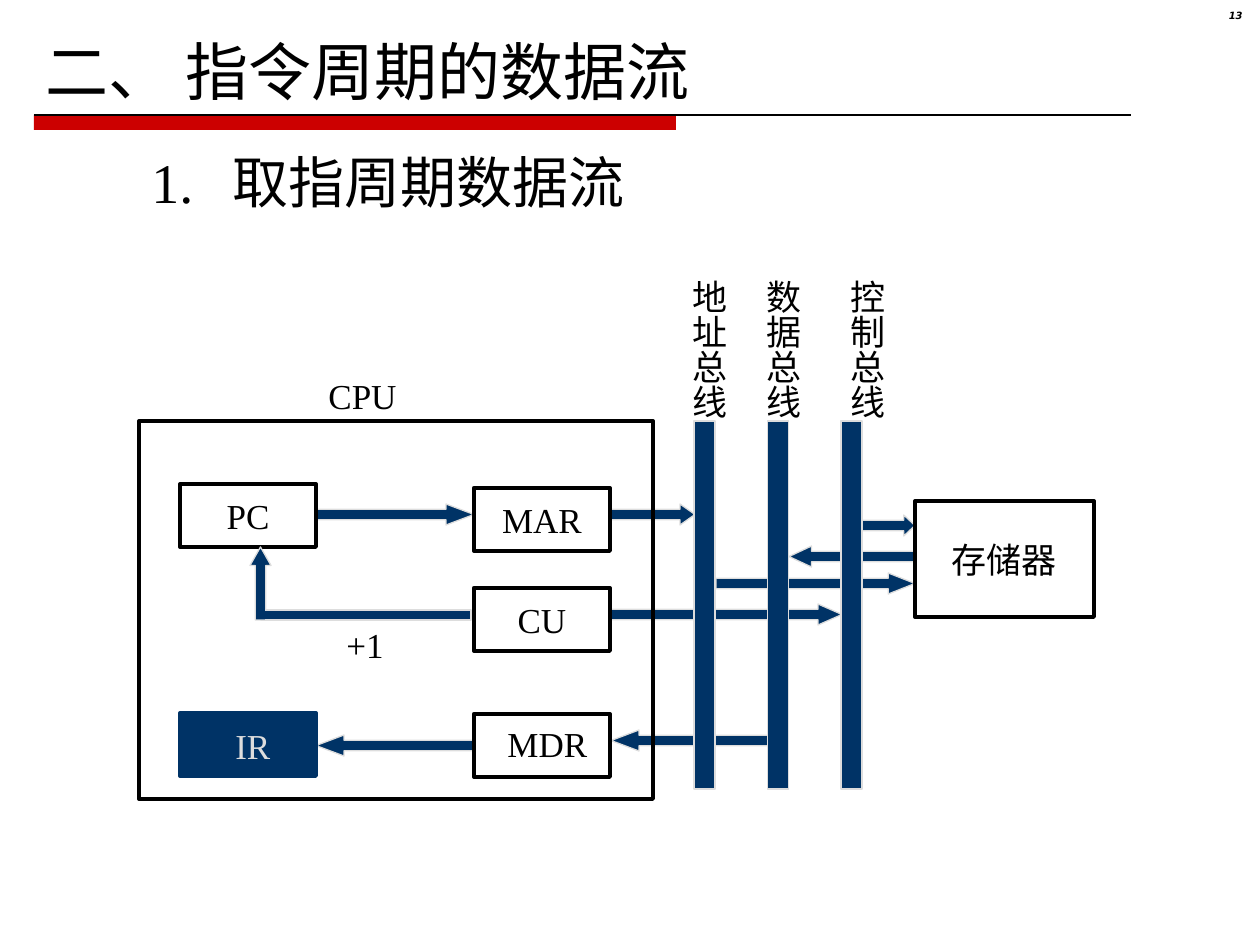
from lxml import etree
from pptx import Presentation
from pptx.dml.color import RGBColor
from pptx.enum.shapes import MSO_CONNECTOR, MSO_SHAPE
from pptx.enum.text import MSO_ANCHOR, PP_ALIGN
from pptx.oxml.ns import qn
from pptx.util import Pt

RECT, RIGHT, UP = MSO_SHAPE.RECTANGLE, MSO_SHAPE.RIGHT_ARROW, MSO_SHAPE.UP_ARROW
MID, TOP = MSO_ANCHOR.MIDDLE, MSO_ANCHOR.TOP
LEFT, CENTER, END = PP_ALIGN.LEFT, PP_ALIGN.CENTER, PP_ALIGN.RIGHT


class Theme:
    ink, navy, pale, red = "000000", "003366", "DDDDDD", "CC0000"
    face, num_face = "Times New Roman", "DejaVu Sans"
    title, head, body, num = 36, 32, 20, 5.7
    thin, thick = 0.75, 2.25


PX = 914400 / 126
THICK = 21  # arrows and buses
BOX = (136, 63)

TITLE = "二、 指令周期的数据流"
HEAD = "1.\t取指周期数据流"
HEAD_TAB = 81
PAGE = "13"

# left, top, length, head length / thickness, turned to the left
ARROWS = [
    (316, 735, 158, 1.33, True),    # MDR to IR
    (316, 504, 158, 1.33, False),   # PC to MAR
    (611, 504, 84, 0.71, False),    # MAR to address bus
    (611, 730, 158, 1.33, True),    # data bus to MDR
    (611, 604, 231, 1.14, False),   # CU to control bus
    (716, 573, 199, 1.27, False),   # address bus to memory
    (789, 546, 126, 1.07, True),    # memory to data bus
    (852, 515, 63, 0.53, False),    # control bus to memory
]
UNITS = [
    ("CU", 474, 588, *BOX),
    ("MAR", 474, 488, *BOX),
    ("PC", 180, 484, *BOX),
    ("", 474, 714, *BOX),           # MDR
    ("", 139, 421, 514, 378),       # CPU
    ("存储器", 915, 501, 179, 116),
]
BUSES = [("地址总线", 669), ("数据总线", 743), ("控制总线", 827)]
BUS_X, BUS_Y, BUS_STEP, BUS_H = 694, 421, 73.5, 368
LABELS = [
    ("MDR", 495, 716, 105, 55),
    ("CPU", 316, 368, 93, 55),
    ("+1", 334, 617, 221, 55),
]


def emu(*vals):
    return [round(v * PX) for v in vals]


def rgb(hue):
    return RGBColor.from_string(hue)


def shape(kind, x, y, w, h, fill=None, line=Theme.ink, width=Theme.thick):
    s = slide.shapes.add_shape(kind, *emu(x, y, w, h))
    s.shadow.inherit = False
    if fill:
        s.fill.solid()
        s.fill.fore_color.rgb = rgb(fill)
    else:
        s.fill.background()
    s.line.color.rgb = rgb(line)
    s.line.width = Pt(width)
    return s


def bar(x, y, w, h, kind=RECT):
    return shape(kind, x, y, w, h, Theme.navy, Theme.pale, Theme.thin)


def write(s, text, size=Theme.body, hue=Theme.ink, align=LEFT, anchor=TOP,
          wrap=False, face=Theme.face):
    frame = s.text_frame
    frame.word_wrap = wrap
    frame.vertical_anchor = anchor
    para = frame.paragraphs[0]
    para.text = text
    para.alignment = align
    font = para.font
    font.size, font.name = Pt(size), face
    font.color.rgb = rgb(hue)
    return para


def label(text, x, y, w, h, **style):
    box = slide.shapes.add_textbox(*emu(x, y, w, h))
    return box, write(box, text, **style)


def add_tab(para, pos):
    props = para._p.get_or_add_pPr()
    tabs = etree.Element(qn("a:tabLst"))
    etree.SubElement(tabs, qn("a:tab"), pos=str(emu(pos)[0]), algn="l")
    props.insert(0, tabs)


prs = Presentation()
prs.slide_width, prs.slide_height = emu(1260, 945)
slide = prs.slides.add_slide(prs.slide_layouts[6])

# Heading
shape(RECT, 34, 115, 642, 15, Theme.red, Theme.red).line.fill.background()
rule = slide.shapes.add_connector(MSO_CONNECTOR.STRAIGHT, *emu(34, 115, 1131, 115))
rule.line.color.rgb = rgb(Theme.ink)
rule.line.width = Pt(Theme.thin)
etree.SubElement(rule._element.spPr, qn("a:effectLst"))
_, page = label(PAGE, 1181, 6, 74, 29, size=Theme.num, align=END,
                wrap=True, face=Theme.num_face)
page.font.bold = page.font.italic = True
page.line_spacing = 0.8
_, head = label(HEAD, 139, 141, 788, 81, size=Theme.head, wrap=True)
add_tab(head, HEAD_TAB)
label(TITLE, 33, 26, 788, 88, size=Theme.title, wrap=True)

# Data flow
for x, y, w, tip, turned in ARROWS:
    arrow = bar(x, y, w, THICK, RIGHT)
    arrow.adjustments[1] = tip
    arrow.rotation = 180 if turned else 0

for text, *place in UNITS:
    unit = shape(RECT, *place)
    if text:
        write(unit, text, align=CENTER, anchor=MID)

for i, (text, x) in enumerate(BUSES):
    bar(BUS_X + i * BUS_STEP, BUS_Y, THICK, BUS_H)
    box, _ = label(text, x, 267, 67, 154)
    frame = box.text_frame
    frame._txBody.bodyPr.set("vert", "eaVert")
    frame.margin_left, frame.margin_top = emu(6, 13)
    frame.margin_right, frame.margin_bottom = emu(6, 13)

for text, *place in LABELS:
    label(text, *place)

shape(RECT, 180, 713, *BOX, Theme.navy, Theme.navy)
label("IR", 223, 718, 60, 55, hue=Theme.pale)

# Bent arrow from CU back to PC
bar(261, 610, 210, 10)
bar(250, 547, THICK, 73, UP).adjustments[1] = 0.88
shape(RECT, 262, 612, 6, 6, Theme.navy, Theme.navy, Theme.thin)

prs.save("out.pptx")
